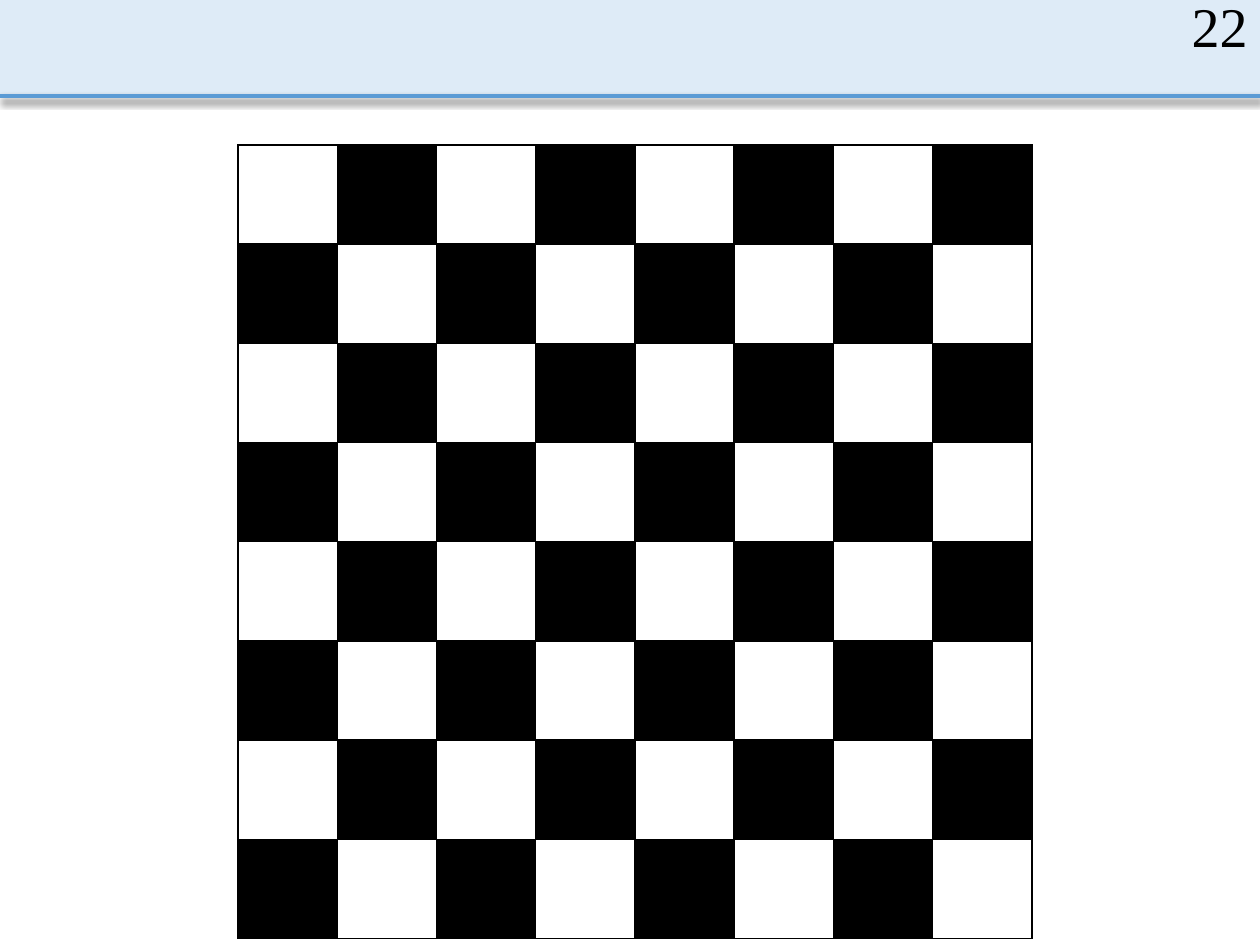
from dataclasses import dataclass

import lxml.etree
import pptx
import pptx.dml.color
import pptx.enum.shapes
import pptx.enum.text
import pptx.oxml
import pptx.oxml.ns
import pptx.slide
import pptx.table
import pptx.util
from pptx.util import Cm, Pt


@dataclass(frozen=True)
class Theme:
    band: str = "DEEBF7"
    rule: str = "5B9BD5"
    light: str = "FFFFFF"
    dark: str = "000000"
    font: str = "Times New Roman"
    number_size: float = 32
    rule_width: float = 2.25
    border_width: float = 1


@dataclass(frozen=True)
class Board:
    left: float
    top: float
    square: float
    count: int


THEME = Theme()
BOARD = Board(left=4.8, top=2.92, square=2, count=8)
SLIDE_WIDTH = 25.4
SLIDE_HEIGHT = 19.05
BAND_HEIGHT = 1.93


def rgb(color: str) -> pptx.dml.color.RGBColor:
    return pptx.dml.color.RGBColor.from_string(color)


def draw_header(slide: pptx.slide.Slide) -> None:
    band = slide.shapes.add_shape(
        pptx.enum.shapes.MSO_SHAPE.RECTANGLE, 0, 0, Cm(SLIDE_WIDTH), Cm(BAND_HEIGHT)
    )
    band.shadow.inherit = False
    band.fill.solid()
    band.fill.fore_color.rgb = rgb(THEME.band)
    band.line.fill.background()

    rule = slide.shapes.add_connector(
        pptx.enum.shapes.MSO_CONNECTOR.STRAIGHT,
        0, Cm(BAND_HEIGHT), Cm(SLIDE_WIDTH), Cm(BAND_HEIGHT),
    )
    rule.line.color.rgb = rgb(THEME.rule)
    rule.line.width = Pt(THEME.rule_width)
    rule.element.spPr.append(pptx.oxml.parse_xml(
        f'<a:effectLst {pptx.oxml.ns.nsdecls("a")}>'
        f'<a:outerShdw blurRad="{Pt(4)}" dist="{Pt(2.5)}" dir="5400000" rotWithShape="0">'
        f'<a:srgbClr val="{THEME.dark}"><a:alpha val="47000"/></a:srgbClr>'
        "</a:outerShdw></a:effectLst>"
    ))


def draw_borders(cell: pptx.table._Cell) -> None:
    """Outline all four sides; borders must come before the fill in the cell."""
    properties = cell._tc.get_or_add_tcPr()
    for position, side in enumerate(("lnL", "lnR", "lnT", "lnB")):
        border = lxml.etree.Element(
            pptx.oxml.ns.qn(f"a:{side}"), w=str(Pt(THEME.border_width))
        )
        fill = lxml.etree.SubElement(border, pptx.oxml.ns.qn("a:solidFill"))
        lxml.etree.SubElement(fill, pptx.oxml.ns.qn("a:srgbClr"), val=THEME.dark)
        properties.insert(position, border)


def draw_board(slide: pptx.slide.Slide, board: Board) -> None:
    side = Cm(board.square * board.count)
    table = slide.shapes.add_table(
        board.count, board.count, Cm(board.left), Cm(board.top), side, side
    ).table
    table.first_row = False
    table.horz_banding = False
    for row in range(board.count):
        for column in range(board.count):
            cell = table.cell(row, column)
            cell.fill.solid()
            is_dark = (row + column) % 2 == 1
            cell.fill.fore_color.rgb = rgb(THEME.dark if is_dark else THEME.light)
            draw_borders(cell)


def draw_slide_number(slide: pptx.slide.Slide, number: str) -> None:
    width = 5.72
    text_box = slide.shapes.add_textbox(Cm(SLIDE_WIDTH - width), 0, Cm(width), Cm(1.02))
    text_frame = text_box.text_frame
    text_frame.word_wrap = True
    text_frame.vertical_anchor = pptx.enum.text.MSO_ANCHOR.MIDDLE
    text_frame.text = number
    paragraph = text_frame.paragraphs[0]
    paragraph.alignment = pptx.enum.text.PP_ALIGN.RIGHT
    font = paragraph.runs[0].font
    font.name = THEME.font
    font.size = Pt(THEME.number_size)
    font.color.rgb = rgb(THEME.dark)


def main() -> None:
    presentation = pptx.Presentation()
    presentation.slide_width = Cm(SLIDE_WIDTH)
    presentation.slide_height = Cm(SLIDE_HEIGHT)
    slide = presentation.slides.add_slide(presentation.slide_layouts[6])
    draw_header(slide)
    draw_board(slide, BOARD)
    draw_slide_number(slide, "22")
    presentation.save("out.pptx")


if __name__ == "__main__":
    main()
